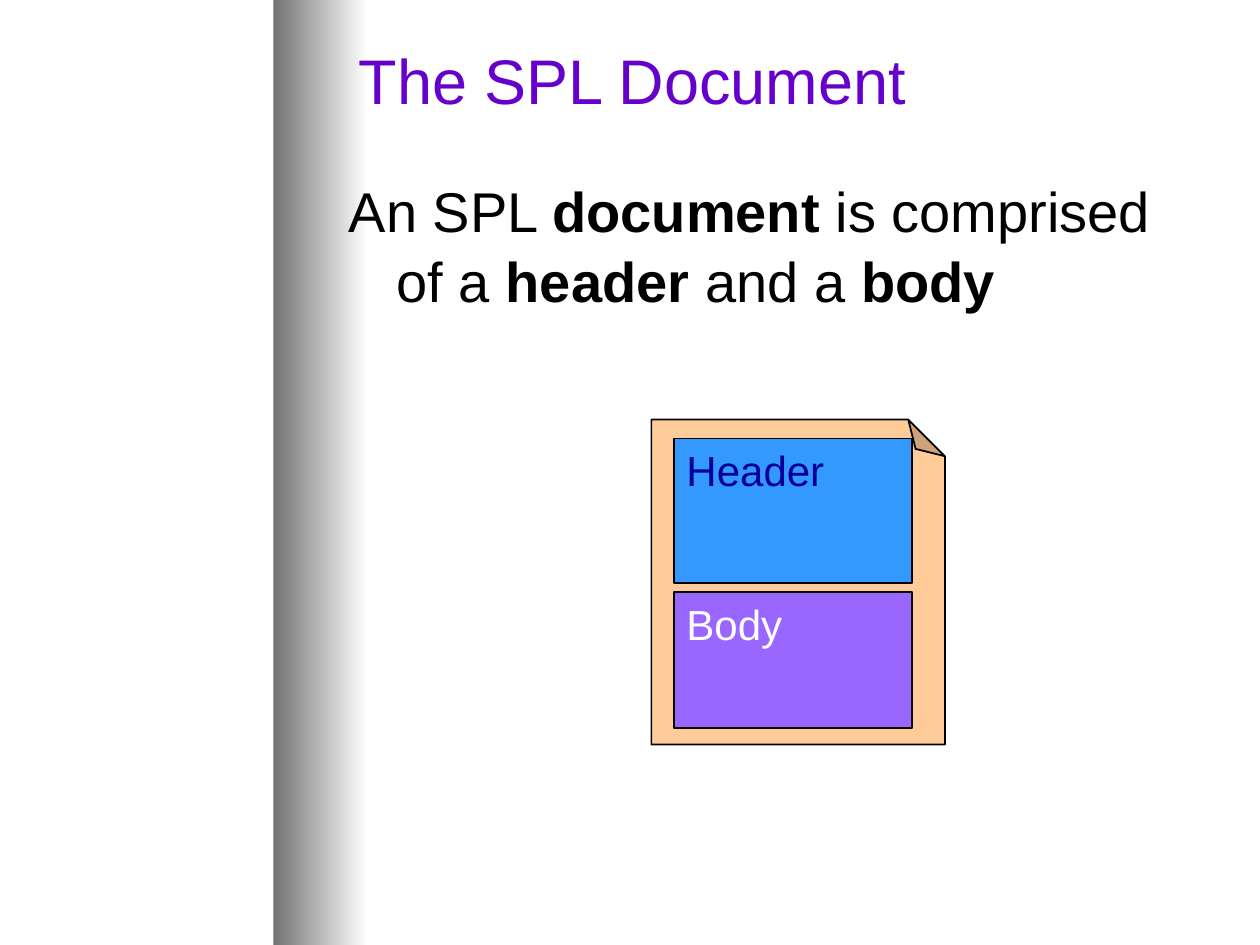
from lxml.etree import SubElement
from pptx import Presentation
from pptx.dml.color import RGBColor
from pptx.enum.shapes import MSO_SHAPE
from pptx.enum.text import MSO_ANCHOR
from pptx.oxml.ns import qn
from pptx.util import Inches, Pt

BLACK = RGBColor(0x00, 0x00, 0x00)
WHITE = RGBColor(0xFF, 0xFF, 0xFF)
GRAY = RGBColor(0x73, 0x73, 0x73)
PURPLE = RGBColor(0x66, 0x00, 0xCC)
PEACH = RGBColor(0xFF, 0xCC, 0x99)
BLUE = RGBColor(0x33, 0x99, 0xFF)
NAVY = RGBColor(0x00, 0x00, 0x99)
VIOLET = RGBColor(0x99, 0x66, 0xFF)


def add_text(slide, parts, x, y, w, h, size=24, color=BLACK,
             anchor=MSO_ANCHOR.TOP, hang=0, spacing=None):
    box = slide.shapes.add_textbox(Inches(x), Inches(y), Inches(w), Inches(h))
    frame = box.text_frame
    frame.word_wrap = True
    frame.vertical_anchor = anchor
    para = frame.paragraphs[0]
    para.line_spacing = spacing
    if hang:
        props = para._p.get_or_add_pPr()
        props.set("marL", str(Inches(hang)))
        props.set("indent", str(-Inches(hang)))
    for text, bold in parts:
        run = para.add_run()
        run.text = text
        font = run.font
        font.name = "Arial"
        font.size = Pt(size)
        font.bold = bold
        font.color.rgb = color


def add_block(slide, kind, x, y, w, h, color):
    block = slide.shapes.add_shape(kind, Inches(x), Inches(y), Inches(w), Inches(h))
    block.shadow.inherit = False
    block.fill.solid()
    block.fill.fore_color.rgb = color
    block.line.color.rgb = BLACK
    block.line.width = Pt(1)
    return block


def add_band(slide):
    band = slide.shapes.add_shape(
        MSO_SHAPE.RECTANGLE, Inches(2.17), 0, Inches(0.75), Inches(7.5))
    band.shadow.inherit = False
    band.line.fill.background()
    band.fill.gradient()
    band.fill.gradient_angle = 0
    for stop, color, place in zip(band.fill.gradient_stops, (GRAY, WHITE), (0, 1)):
        stop.color.rgb = color
        stop.position = place


def add_page(slide):
    page = add_block(slide, MSO_SHAPE.FOLDED_CORNER, 5.17, 3.33, 2.33, 2.58, PEACH)
    props = page._element.spPr
    props.get_or_add_xfrm().set("flipV", "1")
    guides = props.find(qn("a:prstGeom")).find(qn("a:avLst"))
    SubElement(guides, qn("a:gd"), name="adj", fmla="val 12500")
    for name, y, h, fill, color in (
        ("Header", 3.48, 1.15, BLUE, NAVY),
        ("Body", 4.7, 1.08, VIOLET, WHITE),
    ):
        add_block(slide, MSO_SHAPE.RECTANGLE, 5.35, y, 1.89, h, fill)
        add_text(slide, [(name, False)], 5.35, y, 1.66, 0.5, color=color)


def main():
    deck = Presentation()
    deck.slide_width = Inches(10)
    deck.slide_height = Inches(7.5)
    slide = deck.slides.add_slide(deck.slide_layouts[6])
    add_band(slide)
    add_text(slide, [("The SPL Document", False)], 2.75, 0.34, 7, 0.58,
             size=36, color=PURPLE, anchor=MSO_ANCHOR.MIDDLE)
    add_text(slide, [("An SPL ", False), ("document", True),
                     (" is comprised of a ", False), ("header", True),
                     (" and a ", False), ("body", True)],
             2.67, 1.33, 6.83, 4.5, size=32, hang=0.38, spacing=1.04)
    add_page(slide)
    deck.save("out.pptx")


if __name__ == "__main__":
    main()
